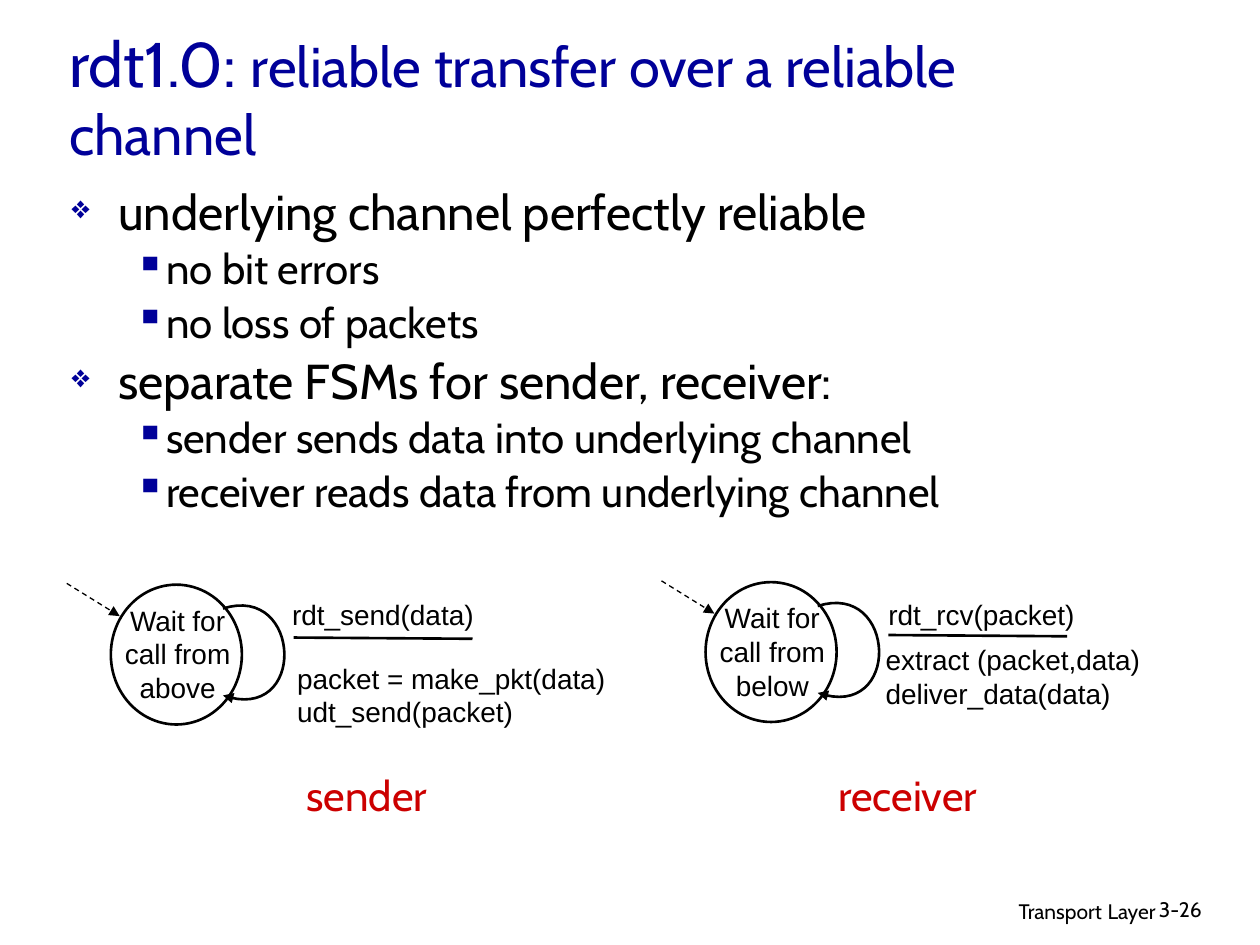
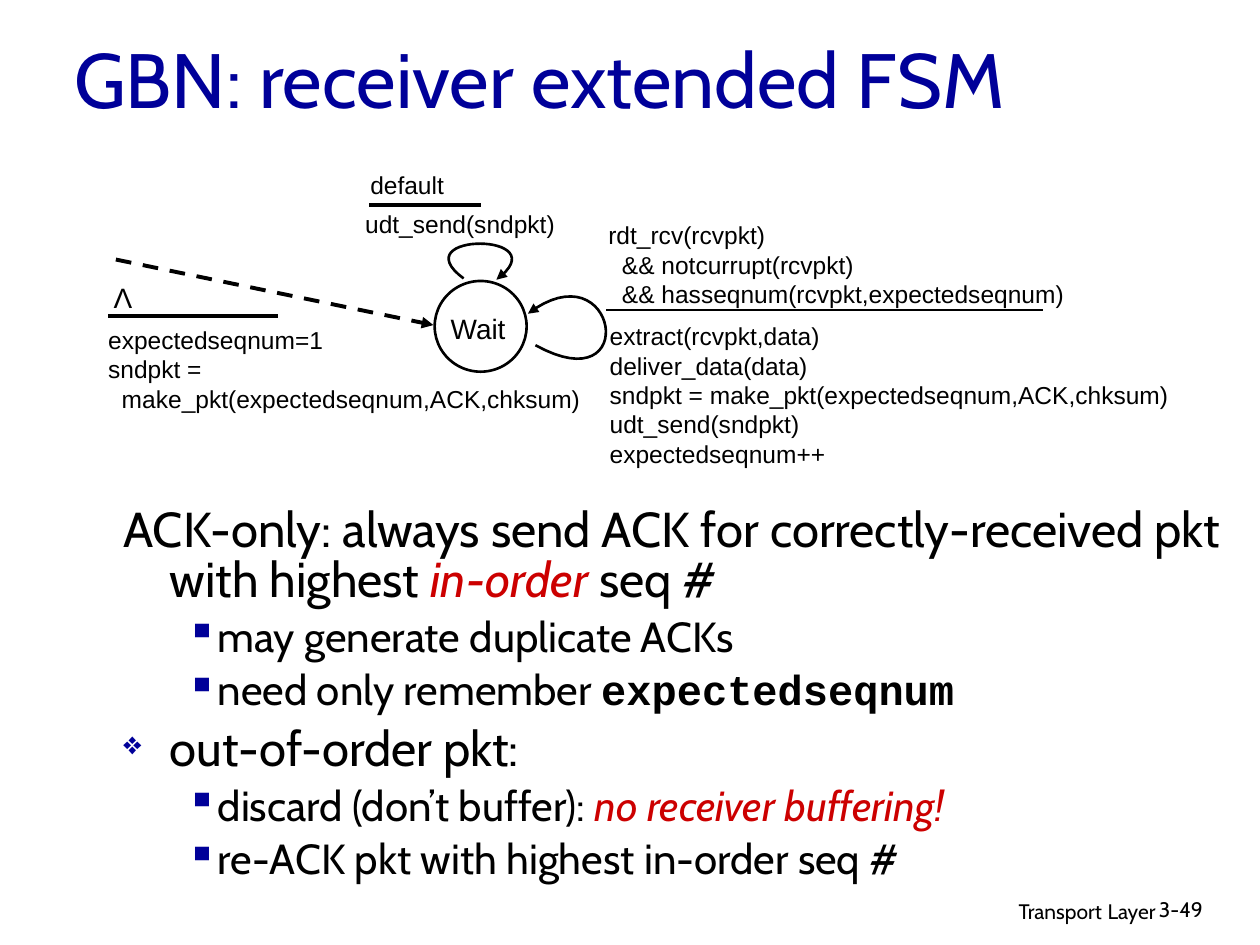
from dataclasses import dataclass

from lxml import etree
from pptx import Presentation
from pptx.dml.color import RGBColor
from pptx.enum.dml import MSO_LINE
from pptx.enum.shapes import MSO_CONNECTOR, MSO_SHAPE
from pptx.enum.text import MSO_ANCHOR, PP_ALIGN
from pptx.oxml.ns import qn
from pptx.util import Inches, Pt


@dataclass(frozen=True)
class Theme:
    blue: str = "000099"
    red: str = "CC0000"
    black: str = "000000"
    white: str = "FFFFFF"
    font: str = "Cabin"
    label_font: str = "Arial"
    code_font: str = "Courier New"
    title: int = 44
    point: int = 28
    subpoint: int = 24
    label: int = 16
    small_label: int = 14
    footer: int = 12
    thin: float = 0.75
    line: float = 1.5
    thick: float = 2.25


THEME = Theme()
EMPH = {"color": THEME.red, "italic": True}
CODE = {"font": THEME.code_font, "bold": True}

# level: left margin, bullet, bullet size in percent, space before, type size
LEVELS = {
    "plain": (0, 0.37, -0.37, None, 100, 7, THEME.point),
    "point": (0, 0.37, -0.37, "❖", 65, 7, THEME.point),
    "sub": (1, 0.75, -0.25, "▪", 100, 6, THEME.subpoint),
}


def rgb(value):
    return RGBColor.from_string(value)


def add_child(parent, tag, **attrs):
    return etree.SubElement(parent, qn(tag), **attrs)


class Deck:
    def __init__(self, theme):
        self.theme = theme
        self.prs = Presentation()
        self.prs.slide_width = Inches(10)
        self.prs.slide_height = Inches(7.5)
        self.s = None

    def new_slide(self, number):
        t = self.theme
        self.s = self.prs.slides.add_slide(self.prs.slide_layouts[6])
        self.text(6.1, 7.05, 3.17, 0.31,
                  [["Transport", (" ", {"size": 14}), "Layer"]],
                  size=t.footer, align=PP_ALIGN.RIGHT)
        self.text(9.1, 7.07, 0.74, 0.3, [number], size=t.footer)

    def frame(self, x, y, w, h, wrap=True):
        box = self.s.shapes.add_textbox(
            Inches(x), Inches(y), Inches(w), Inches(h))
        tf = box.text_frame
        tf.word_wrap = wrap
        return tf

    def runs(self, p, parts, **base):
        """Add each part, a string or a (string, style changes) pair."""
        for part in [parts] if isinstance(parts, str) else parts:
            text, changes = (part, {}) if isinstance(part, str) else part
            style = {"font": self.theme.font, "color": self.theme.black,
                     **base, **changes}
            r = p.add_run()
            r.text = text
            r.font.name = style["font"]
            r.font.size = Pt(style["size"])
            r.font.color.rgb = rgb(style["color"])
            r.font.bold = style.get("bold", False)
            r.font.italic = style.get("italic", False)

    def text(self, x, y, w, h, lines, align=PP_ALIGN.LEFT, wrap=True,
             anchor=MSO_ANCHOR.TOP, **style):
        tf = self.frame(x, y, w, h, wrap)
        tf.vertical_anchor = anchor
        for i, line in enumerate(lines):
            p = tf.add_paragraph() if i else tf.paragraphs[0]
            p.alignment = align
            self.runs(p, line, **style)

    def title(self, x, y, w, h, parts):
        self.text(x, y, w, h, [parts], anchor=MSO_ANCHOR.MIDDLE,
                  size=self.theme.title, color=self.theme.blue)

    def label(self, x, y, w, h, *lines, **style):
        """Add text that belongs to a state machine."""
        style.setdefault("size", self.theme.label)
        self.text(x, y, w, h, lines, font=self.theme.label_font, **style)

    def body(self, x, y, w, h, items):
        tf = self.frame(x, y, w, h)
        for i, (kind, parts) in enumerate(items):
            level, margin, indent, bullet, percent, before, size = LEVELS[kind]
            p = tf.add_paragraph() if i else tf.paragraphs[0]
            p.level = level
            pPr = p._p.get_or_add_pPr()
            pPr.set("marL", str(Inches(margin)))
            pPr.set("indent", str(Inches(indent)))
            if bullet:
                color = add_child(pPr, "a:buClr")
                add_child(color, "a:srgbClr", val=self.theme.blue)
                add_child(pPr, "a:buSzPct", val=str(percent * 1000))
                add_child(pPr, "a:buChar", char=bullet)
            else:
                add_child(pPr, "a:buNone")
            p.line_spacing = 0.85
            p.space_before = Pt(before if i else 0)
            self.runs(p, parts, size=size)

    def stroke(self, sp, width, arrow=False, dashed=False):
        sp.line.color.rgb = rgb(self.theme.black)
        sp.line.width = Pt(width)
        if dashed:
            sp.line.dash_style = MSO_LINE.DASH
        if arrow:
            add_child(sp.line._get_or_add_ln(), "a:tailEnd", type="triangle")

    def circle(self, x, y, w, h):
        sp = self.s.shapes.add_shape(
            MSO_SHAPE.OVAL, Inches(x), Inches(y), Inches(w), Inches(h))
        sp.shadow.inherit = False
        sp.fill.solid()
        sp.fill.fore_color.rgb = rgb(self.theme.white)
        self.stroke(sp, self.theme.line)

    def line(self, start, end, width, **ends):
        sp = self.s.shapes.add_connector(
            MSO_CONNECTOR.STRAIGHT, *(Inches(v) for v in (*start, *end)))
        self.stroke(sp, width, **ends)
        add_child(sp._element.spPr, "a:effectLst")

    def loop(self, *controls, steps=32):
        """Draw an arrow along the cubic curve with four control points."""
        points = []
        for i in range(steps + 1):
            t = i / steps
            weights = ((1 - t) ** 3, 3 * t * (1 - t) ** 2,
                       3 * t ** 2 * (1 - t), t ** 3)
            points.append(tuple(
                Inches(sum(k * c[axis] for k, c in zip(weights, controls)))
                for axis in (0, 1)))
        builder = self.s.shapes.build_freeform(*points[0], scale=1.0)
        builder.add_line_segments(points[1:], close=False)
        sp = builder.convert_to_shape()
        sp.shadow.inherit = False
        sp.fill.background()
        self.stroke(sp, self.theme.line, arrow=True)


def add_waiting_state(deck, x, y, state):
    """Draw a state with its entry arrow, self-loop and event rule."""
    t = deck.theme
    deck.circle(x, y, 1.04, 1.11)
    deck.label(x - 0.07, y + 0.1, 1.2, 1, state, align=PP_ALIGN.CENTER)
    deck.loop(*((x + dx, y + dy) for dx, dy in
                ((0.89, 0.19), (1.52, -0.01), (1.56, 1.11), (0.89, 0.88))))
    deck.line((x + 1.45, y + 0.42), (x + 2.87, y + 0.43), t.line)
    deck.line((x - 0.35, y - 0.01), (x + 0.07, y + 0.25), t.thin,
              arrow=True, dashed=True)


def add_rdt_slide(deck):
    t = deck.theme
    deck.new_slide("3-26")
    deck.title(0.45, 0.21, 8.75, 1.1, [
        ("rdt1.0: ", {"size": 36}),
        ("reliable transfer over a reliable channel", {"size": 32})])
    deck.body(0.47, 1.46, 8.64, 3.3, [
        ("point", "underlying channel perfectly reliable"),
        ("sub", "no bit errors"),
        ("sub", "no loss of packets"),
        ("point", "separate FSMs for sender, receiver:"),
        ("sub", "sender sends data into underlying channel"),
        ("sub", "receiver reads data from underlying channel")])

    add_waiting_state(deck, 0.88, 4.64, "Wait for call from above")
    deck.label(2.22, 4.69, 2.47, 0.47, "rdt_send(data)")
    deck.label(2.26, 5.2, 2.93, 0.65,
               "packet = make_pkt(data)", "udt_send(packet)")

    add_waiting_state(deck, 5.6, 4.62, "Wait for call from below")
    deck.label(6.95, 4.69, 1.68, 0.37, "rdt_rcv(packet)",
               wrap=False, align=PP_ALIGN.CENTER)
    deck.label(6.93, 5.05, 2.72, 0.47,
               "extract (packet,data)", "deliver_data(data)")

    for x, w, role in ((2.27, 1.28, "sender"), (6.48, 1.45, "receiver")):
        deck.text(x, 6.06, w, 0.5, [role], align=PP_ALIGN.CENTER, wrap=False,
                  size=t.subpoint, color=t.red)


def add_gbn_slide(deck):
    t = deck.theme
    small = {"size": t.small_label}
    deck.new_slide("3-49")
    deck.title(0.49, 0.23, 8.5, 0.77, "GBN: receiver extended FSM")
    deck.body(0.88, 3.98, 8.91, 3.12, [
        ("plain", ["ACK-only: always send ACK for correctly-received pkt "
                   "with highest ", ("in-order", EMPH), " seq #"]),
        ("sub", "may generate duplicate ACKs"),
        ("sub", ["need only remember ", ("expectedseqnum", CODE)]),
        ("point", "out-of-order pkt:"),
        ("sub", ["discard (don’t buffer): ",
                 ("no receiver buffering!", EMPH)]),
        ("sub", "re-ACK pkt with highest in-order seq #")])

    deck.circle(3.45, 2.23, 0.73, 0.72)
    deck.label(3.36, 2.42, 0.87, 0.26, "Wait", align=PP_ALIGN.CENTER)

    # start
    deck.line((0.92, 2.06), (3.44, 2.58), t.thick, arrow=True, dashed=True)
    deck.label(0.8, 2.18, 0.35, 0.37, "Λ", wrap=False, align=PP_ALIGN.CENTER)
    deck.line((0.86, 2.51), (2.21, 2.51), t.thick)
    deck.label(0.76, 2.53, 3.98, 1.07, "expectedseqnum=1", "sndpkt =",
               "  make_pkt(expectedseqnum,ACK,chksum)", **small)

    # default event
    deck.label(2.84, 1.3, 0.79, 0.27, "default", **small)
    deck.line((2.93, 1.63), (3.82, 1.63), t.thick)
    deck.label(2.8, 1.61, 1.77, 0.34, "udt_send(sndpkt)", **small)
    deck.loop((3.68, 2.21), (3.18, 1.84), (4.45, 1.84), (3.94, 2.22))

    # packet received in order
    deck.loop((4.25, 2.74), (5.1, 3.21), (4.9, 1.95), (4.19, 2.49))
    deck.label(4.73, 1.7, 3.9, 0.62, "rdt_rcv(rcvpkt)",
               "  && notcurrupt(rcvpkt)",
               "  && hasseqnum(rcvpkt,expectedseqnum)", **small)
    deck.line((4.81, 2.46), (8.28, 2.46), t.line)
    deck.label(4.74, 2.5, 4.72, 0.94, "extract(rcvpkt,data)",
               "deliver_data(data)",
               "sndpkt = make_pkt(expectedseqnum,ACK,chksum)",
               "udt_send(sndpkt)", "expectedseqnum++", **small)


def main():
    deck = Deck(THEME)
    add_rdt_slide(deck)
    add_gbn_slide(deck)
    deck.prs.save("out.pptx")


if __name__ == "__main__":
    main()
